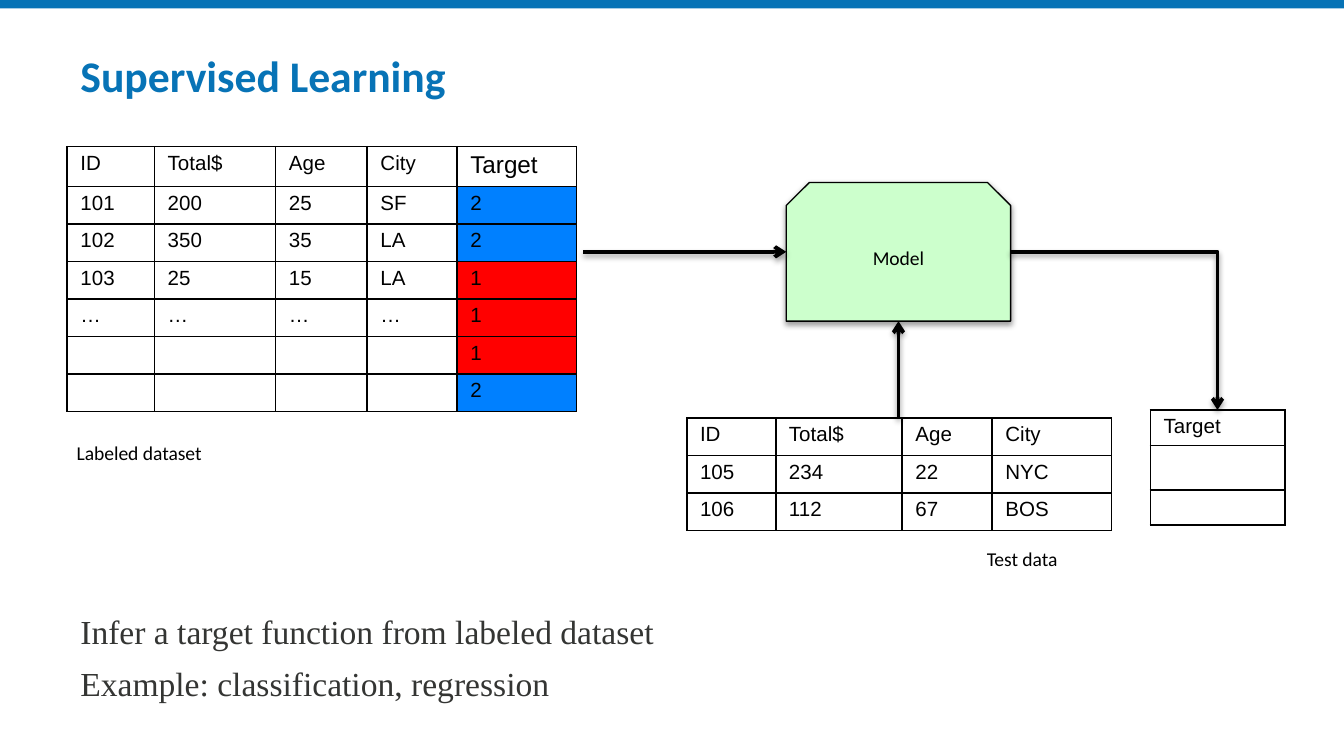
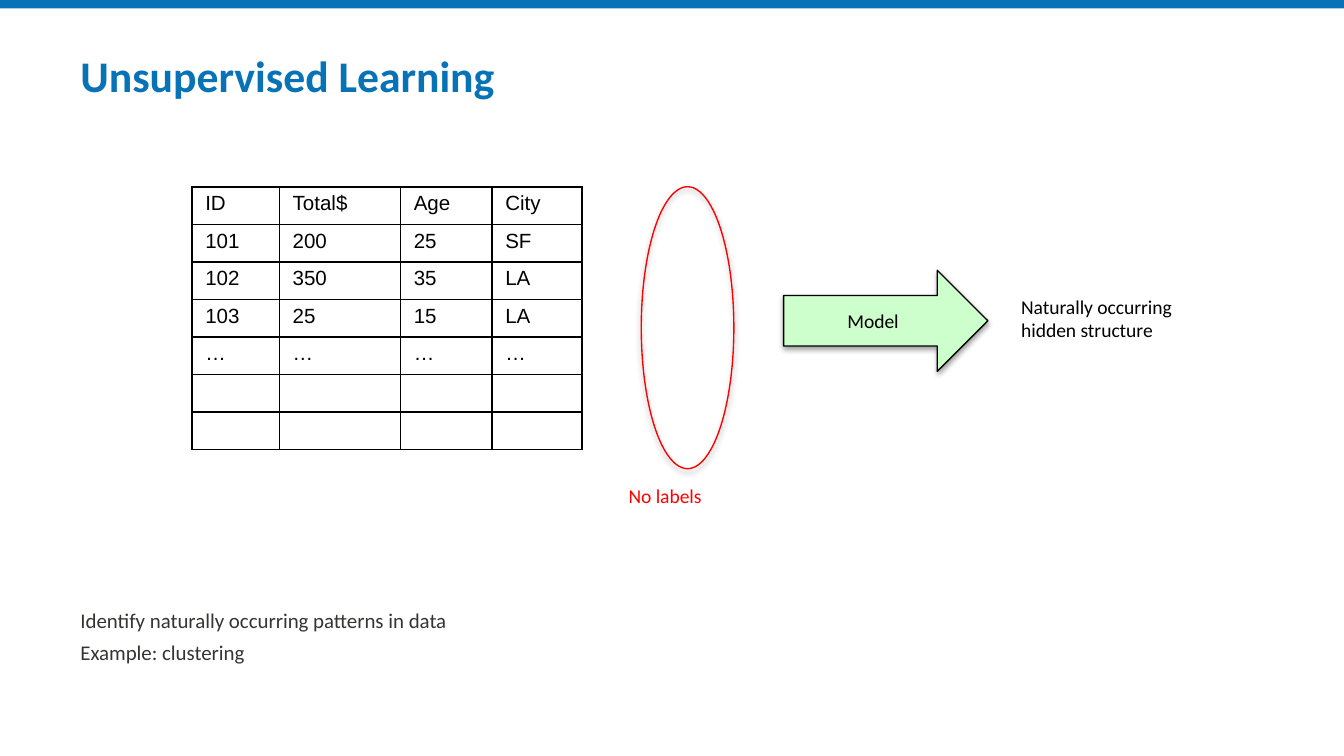
from dataclasses import dataclass

from lxml import etree
from pptx import Presentation
from pptx import util as u
from pptx.dml.color import RGBColor
from pptx.enum import shapes, text
from pptx.oxml import ns

# Shared colours and fonts
BLUE, INK, BLACK, RED = "0773B6", "343533", "000000", "FF0000"
MODEL_GREEN, CLASS_BLUE = "CCFFCC", "0080FF"
SANS, SERIF, TABLE_FONT = "Calibri", "Times New Roman", "Arial"

SLIDE_WIDTH, SLIDE_HEIGHT = 25.4, 14.29
ROW_HEIGHT = 0.71
LABEL_SIZE, CELL_SIZE = 10.5, 11


@dataclass
class Box:
    """Position and size in centimetres."""
    left: float
    top: float
    width: float
    height: float

    def lengths(self) -> list[u.Length]:
        return [u.Cm(value) for value in (self.left, self.top, self.width, self.height)]


@dataclass
class Style:
    size: float
    font: str = SANS
    color: str = BLACK
    bold: bool = False


@dataclass
class TextBlock:
    box: Box
    lines: list[str]
    style: Style
    insets: tuple[float, float] = (0.25, 0.13)
    wrap: bool = False
    space_before: float = 0
    line_spacing: float | None = None


@dataclass
class Grid:
    left: float
    top: float
    columns: list[float]
    row_heights: list[float]
    rows: list[list[str]]


@dataclass
class Arrow:
    start: tuple[float, float]
    end: tuple[float, float]
    bent: bool = False


LABEL = Style(LABEL_SIZE)
CELL = Style(CELL_SIZE, TABLE_FONT)

# Customer records used on both slides
FEATURE_COLUMNS = [1.65, 2.29, 1.73, 1.7]
HEADINGS = ["ID", "Total$", "Age", "City"]
CUSTOMERS = [
    HEADINGS,
    ["101", "200", "25", "SF"],
    ["102", "350", "35", "LA"],
    ["103", "25", "15", "LA"],
    ["…"] * 4,
    [""] * 4,
    [""] * 4,
]
TARGETS = ["Target", "2", "2", "1", "1", "1", "2"]
TARGET_COLORS = {"1": RED, "2": CLASS_BLUE}


def rgb(color: str) -> RGBColor:
    return RGBColor.from_string(color)


def add_xml(parent, tag: str, **attributes):
    return etree.SubElement(parent, ns.qn(tag), attributes)


def format_runs(paragraph, style: Style) -> None:
    for run in paragraph.runs:
        run.font.name = style.font
        run.font.size = u.Pt(style.size)
        run.font.bold = style.bold
        run.font.color.rgb = rgb(style.color)


def add_shadow(shape, opacity: int = 38, distance: float = 1.6) -> None:
    properties = shape._element.spPr
    effects = properties.find(ns.qn("a:effectLst"))
    if effects is None:
        effects = add_xml(properties, "a:effectLst")
    shadow = add_xml(effects, "a:outerShdw", blurRad=str(u.Pt(3.1)),
                     dist=str(u.Pt(distance)), dir="5400000", rotWithShape="0")
    color = add_xml(shadow, "a:srgbClr", val=BLACK)
    add_xml(color, "a:alpha", val=str(opacity * 1000))


def add_shape(slide, kind, box: Box, fill: str | None, line: str | None):
    shape = slide.shapes.add_shape(kind, *box.lengths())
    shape.shadow.inherit = False
    if fill:
        shape.fill.solid()
        shape.fill.fore_color.rgb = rgb(fill)
    else:
        shape.fill.background()
    if line:
        shape.line.color.rgb = rgb(line)
        shape.line.width = u.Pt(0.75)
    else:
        shape.line.fill.background()
    return shape


def add_model(slide, kind, box: Box) -> None:
    shape = add_shape(slide, kind, box, MODEL_GREEN, BLACK)
    add_shadow(shape)
    frame = shape.text_frame
    frame.text = "Model"
    frame.vertical_anchor = text.MSO_ANCHOR.MIDDLE
    frame.paragraphs[0].alignment = text.PP_ALIGN.CENTER
    format_runs(frame.paragraphs[0], LABEL)


def add_text(slide, block: TextBlock) -> None:
    frame = slide.shapes.add_textbox(*block.box.lengths()).text_frame
    frame.word_wrap = block.wrap
    frame.vertical_anchor = text.MSO_ANCHOR.TOP
    side, top = block.insets
    frame.margin_left = frame.margin_right = u.Cm(side)
    frame.margin_top = frame.margin_bottom = u.Cm(top)
    frame.text = "\n".join(block.lines)
    for index, paragraph in enumerate(frame.paragraphs):
        if index and block.space_before:
            paragraph.space_before = u.Pt(block.space_before)
        if block.line_spacing:
            paragraph.line_spacing = block.line_spacing
        format_runs(paragraph, block.style)


def fill_cell(cell, value: str, style: Style, fill: str | None) -> None:
    cell.margin_left = cell.margin_right = u.Cm(0.25)
    cell.margin_top = cell.margin_bottom = u.Cm(0.1)
    paragraph = cell.text_frame.paragraphs[0]
    if value:
        paragraph.text = value
        format_runs(paragraph, style)
    else:
        # Keeps empty rows from growing
        add_xml(paragraph._p, "a:endParaRPr", sz=str(style.size * 100))
    if fill:
        cell.fill.solid()
        cell.fill.fore_color.rgb = rgb(fill)
    else:
        cell.fill.background()
    # Borders come before the fill
    properties = cell._tc.get_or_add_tcPr()
    for position, side in enumerate("LRTB"):
        border = add_xml(properties, f"a:ln{side}", w=str(u.Pt(1)))
        add_xml(add_xml(border, "a:solidFill"), "a:srgbClr", val=BLACK)
        properties.insert(position, border)


def add_grid(slide, grid: Grid):
    box = Box(grid.left, grid.top, sum(grid.columns), sum(grid.row_heights))
    frame = slide.shapes.add_table(len(grid.rows), len(grid.columns), *box.lengths())
    table = frame.table
    table.first_row = table.horz_banding = False
    for column, width in zip(table.columns, grid.columns):
        column.width = u.Cm(width)
    for row, height, values in zip(table.rows, grid.row_heights, grid.rows):
        row.height = u.Cm(height)
        for index, (cell, value) in enumerate(zip(row.cells, values)):
            is_target = index == len(HEADINGS)
            style = Style(13, TABLE_FONT) if value == "Target" and is_target else CELL
            fill_cell(cell, value, style, TARGET_COLORS.get(value) if is_target else None)


def add_arrow(slide, arrow: Arrow) -> None:
    kind = shapes.MSO_CONNECTOR.ELBOW if arrow.bent else shapes.MSO_CONNECTOR.STRAIGHT
    points = [u.Cm(value) for value in (*arrow.start, *arrow.end)]
    connector = slide.shapes.add_connector(kind, *points)
    connector.line.color.rgb = rgb(BLACK)
    connector.line.width = u.Pt(2)
    properties = connector._element.spPr
    if arrow.bent:
        # A single corner: right, then down
        properties.find(ns.qn("a:prstGeom")).set("prst", "bentConnector2")
    add_xml(properties.find(ns.qn("a:ln")), "a:tailEnd", type="arrow")
    add_shadow(connector)


def start_slide(presentation, title: str):
    """Blank slide with the top band and the title."""
    slide = presentation.slides.add_slide(presentation.slide_layouts[6])
    add_shape(slide, shapes.MSO_SHAPE.RECTANGLE, Box(0, 0, SLIDE_WIDTH, 0.16), BLUE, None)
    add_text(slide, TextBlock(Box(1.27, 0.61, 22.86, 1.42), [title],
                              Style(23.4, SANS, BLUE, True), (0.25, 0.32), wrap=True))
    return slide


def build_supervised(presentation) -> None:
    slide = start_slide(presentation, "Supervised Learning")
    blocks = [
        TextBlock(Box(1.27, 11.3, 22.86, 2.41),
                  ["Infer a target function from labeled dataset",
                   "Example: classification, regression"],
                  Style(18, SERIF, INK), (0.25, 0.25), wrap=True, space_before=6.4),
        TextBlock(Box(1.27, 8.23, 3.96, 0.86), ["Labeled dataset"], LABEL, (0.18, 0.1)),
        TextBlock(Box(18.47, 10.24, 2.54, 1.04), ["Test data"], LABEL, (0.18, 0.1)),
    ]
    for block in blocks:
        add_text(slide, block)

    # Labeled data, test data and predicted target
    labeled_rows = [row + [target] for row, target in zip(CUSTOMERS, TARGETS)]
    test_rows = [HEADINGS, ["105", "234", "22", "NYC"], ["106", "112", "67", "BOS"]]
    test_top, result_left, result_top, result_width = 7.9, 21.74, 7.75, 2.54
    grids = [
        Grid(1.27, 2.77, FEATURE_COLUMNS + [2.26], [0.74] + [ROW_HEIGHT] * 6, labeled_rows),
        Grid(12.98, test_top, [1.68, 2.39, 1.7, 2.26], [ROW_HEIGHT] * 3, test_rows),
        Grid(result_left, result_top, [result_width], [0.64, 0.84, 0.64],
             [["Target"], [""], [""]]),
    ]
    for grid in grids:
        add_grid(slide, grid)

    # Model with its inputs and output
    model = Box(14.86, 3.45, 4.24, 2.62)
    add_model(slide, shapes.MSO_SHAPE.SNIP_2_SAME_RECTANGLE, model)
    center = model.left + model.width / 2
    middle = model.top + model.height / 2
    arrows = [
        Arrow((11.02, middle), (model.left, middle)),
        Arrow((center, test_top), (center, model.top + model.height)),
        Arrow((model.left + model.width, middle),
              (result_left + result_width / 2, result_top), bent=True),
    ]
    for arrow in arrows:
        add_arrow(slide, arrow)


def build_unsupervised(presentation) -> None:
    slide = start_slide(presentation, "Unsupervised Learning")
    add_grid(slide, Grid(3.63, 3.53, FEATURE_COLUMNS, [ROW_HEIGHT] * 7, CUSTOMERS))

    # Missing label column and model
    missing_labels = add_shape(slide, shapes.MSO_SHAPE.OVAL,
                               Box(12.12, 3.53, 1.75, 5.33), None, RED)
    add_shadow(missing_labels, 35, 1.8)
    add_model(slide, shapes.MSO_SHAPE.RIGHT_ARROW, Box(14.81, 5.11, 3.86, 1.91))

    blocks = [
        TextBlock(Box(1.27, 11.33, 18.42, 1.52),
                  ["Identify naturally occurring patterns in data", "Example: clustering"],
                  Style(11.2, SANS, INK), (0.25, 0.25), wrap=True,
                  space_before=6.4, line_spacing=0.8),
        TextBlock(Box(11.63, 9.02, 1.9, 0.71), ["No labels"], Style(LABEL_SIZE, SANS, RED)),
        TextBlock(Box(19.05, 5.44, 3.4, 1.14),
                  ["Naturally occurring", "hidden structure"], LABEL),
    ]
    for block in blocks:
        add_text(slide, block)


def main() -> None:
    presentation = Presentation()
    presentation.slide_width = u.Cm(SLIDE_WIDTH)
    presentation.slide_height = u.Cm(SLIDE_HEIGHT)
    build_supervised(presentation)
    build_unsupervised(presentation)
    presentation.save("out.pptx")


if __name__ == "__main__":
    main()
